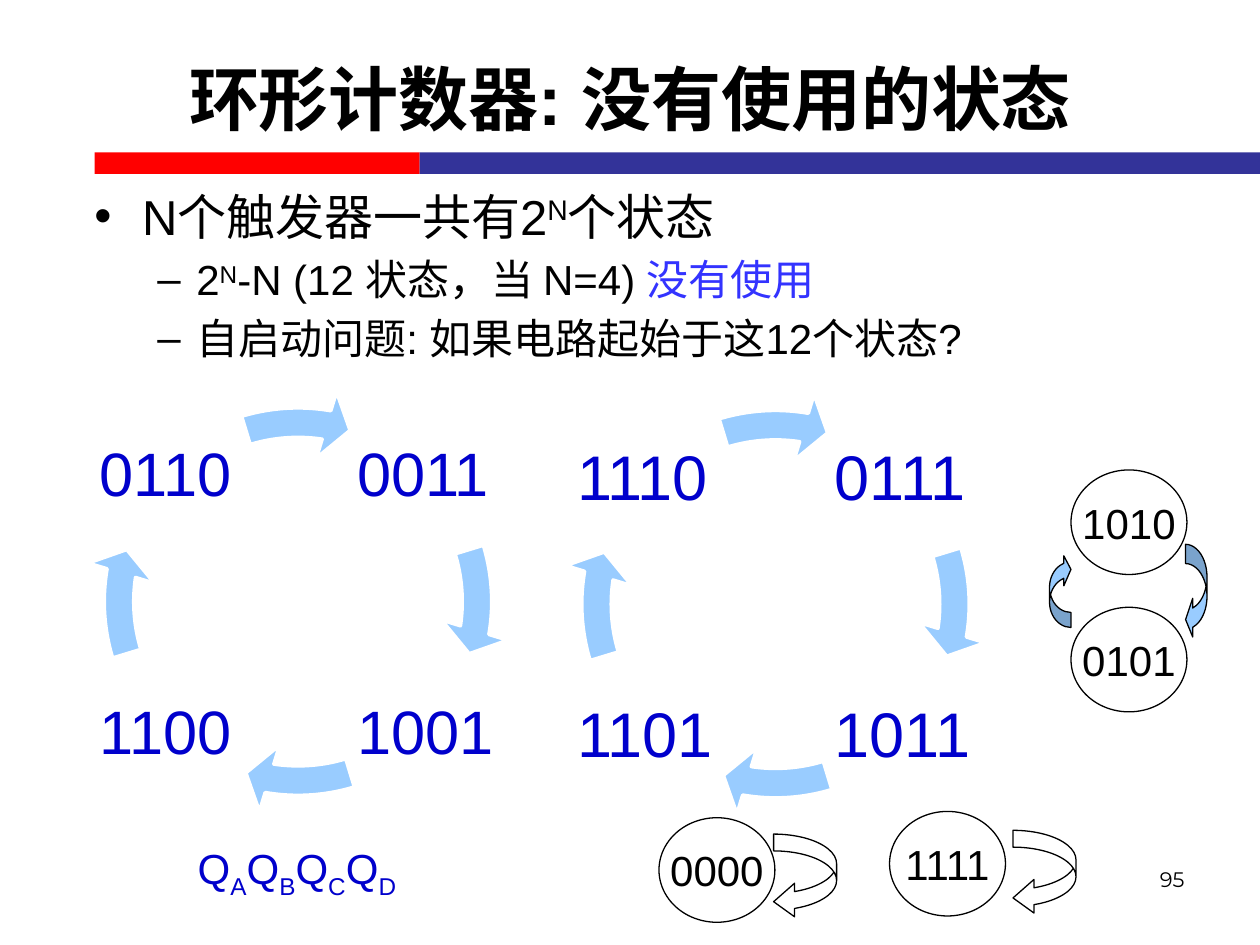
from lxml import etree
from pptx import Presentation
from pptx.dml.color import RGBColor
from pptx.enum.shapes import MSO_SHAPE as Shape
from pptx.enum.text import MSO_ANCHOR as Anchor, PP_ALIGN as Align
from pptx.oxml.ns import qn
from pptx.util import Inches, Pt

BLACK, BLUE, SKY, WHITE = "000000", "0000CC", "99CCFF", "FFFFFF"
SUPER, SUB = 30, -25

TITLE = "环形计数器: 没有使用的状态"
# Each bullet: level, size, runs of (text, baseline shift, colour)
BULLETS = [
    (0, 28, [("N个触发器一共有2", 0, BLACK), ("N", SUPER, BLACK),
             ("个状态", 0, BLACK)]),
    (1, 24, [("2", 0, BLACK), ("N", SUPER, BLACK),
             ("-N (12 状态，当 N=4) ", 0, BLACK), ("没有使用", 0, "3333FF")]),
    (1, 24, [("自启动问题: 如果电路起始于这12个状态?", 0, BLACK)]),
]
LEVELS = [("•", 0.38, 0.38), ("–", 0.81, 0.31)]  # mark, indent, hanging

BARS = [(0.75, 2.58, "FF0000"), (3.33, 6.67, "333399")]
# Each ring: left, top, text size, states clockwise from upper right
RINGS = [
    (0.67, 3.08, 35, ["0011", "1001", "1100", "0110"]),
    (4.46, 3.10, 36, ["0111", "1011", "1101", "1110"]),
]
RING_SIZE, STATE_SIZE, STATE_STEP, STATE_INSET = 3.39, 1.2, 2.045, 0.07
CORNERS = [(1, 0), (1, 1), (0, 1), (0, 0)]
QUARTER, FULL_TURN = 54, 216  # angles in units of 100000/60000 degree

CIRCLES = [("1010", 8.5, 3.73), ("0101", 8.5, 4.82),
           ("0000", 5.23, 6.49), ("1111", 7.06, 6.44)]
LEFT, RIGHT = Shape.CURVED_LEFT_ARROW, Shape.CURVED_RIGHT_ARROW
LOOP = [0.267, 0.533, 0.333]
# Each curved arrow: kind, box, adjustments, fill, flipped
CURVED_ARROWS = [
    (LEFT, (9.41, 4.32, 0.17, 0.75), [0.9, 1.8, 0.333], SKY, False),
    (RIGHT, (8.33, 4.40, 0.17, 0.58), [0.7, 1.4, 0.333], SKY, True),
    (LEFT, (6.14, 6.62, 0.5, 0.67), LOOP, None, False),
    (LEFT, (8.04, 6.59, 0.5, 0.67), LOOP, None, False),
]


def add_runs(paragraph, runs, size, **font_format):
    for text, baseline, colour in runs:
        run = paragraph.add_run()
        run.text = text
        values = {"size": Pt(size), "name": "Arial", **font_format}
        for name, value in values.items():
            setattr(run.font, name, value)
        run.font.color.rgb = RGBColor.from_string(colour)
        if baseline:
            run.font._element.set("baseline", str(baseline * 1000))


def set_frame(shape, wrap=True, anchor=Anchor.MIDDLE, inset=None):
    frame = shape.text_frame
    frame.word_wrap = wrap
    frame.vertical_anchor = anchor
    if inset is not None:
        for side in ("left", "top", "right", "bottom"):
            setattr(frame, f"margin_{side}", Inches(inset))
    return frame


def add_text(slide, box, runs, size, align=Align.LEFT, font_format=None, **frame_format):
    shape = slide.shapes.add_textbox(*map(Inches, box))
    paragraph = set_frame(shape, **frame_format).paragraphs[0]
    paragraph.alignment = align
    add_runs(paragraph, runs, size, **(font_format or {}))


def add_shape(slide, kind, box, fill=None, line=None, width=0.75, adjustments=()):
    shape = slide.shapes.add_shape(kind, *map(Inches, box))
    shape.shadow.inherit = False
    for part, colour in ((shape.fill, fill), (shape.line.fill, line)):
        if colour:
            part.solid()
            part.fore_color.rgb = RGBColor.from_string(colour)
        else:
            part.background()
    if line:
        shape.line.width = Pt(width)
    for index, value in enumerate(adjustments):
        shape.adjustments[index] = value
    return shape


def add_bullets(slide):
    box = slide.shapes.add_textbox(*map(Inches, (0.65, 1.43, 9.25, 5.75)))
    frame = set_frame(box, anchor=Anchor.TOP)
    for index, (level, size, runs) in enumerate(BULLETS):
        paragraph = frame.add_paragraph() if index else frame.paragraphs[0]
        paragraph.level = level
        if index:
            paragraph.space_before = Pt(size * 0.2)
        mark, indent, hanging = LEVELS[level]
        properties = paragraph._p.get_or_add_pPr()
        properties.set("marL", str(Inches(indent)))
        properties.set("indent", str(-Inches(hanging)))
        etree.SubElement(properties, qn("a:buFont")).set("typeface", "Arial")
        etree.SubElement(properties, qn("a:buChar")).set("char", mark)
        add_runs(paragraph, runs, size)


def add_ring(slide, left, top, size, states):
    """Four states at the corners of a square, joined by clockwise arrows."""
    for index, (state, (column, row)) in enumerate(zip(states, CORNERS)):
        box = (left + STATE_INSET + column * STATE_STEP,
               top + STATE_INSET + row * STATE_STEP, STATE_SIZE, STATE_SIZE)
        add_text(slide, box, [(state, 0, BLUE)], size, inset=0.05)
        turn = index * QUARTER
        angles = [5.495 + turn, (205.852 + turn) % FULL_TURN]
        add_shape(slide, Shape.CIRCULAR_ARROW, (left, top, RING_SIZE, RING_SIZE),
                  SKY, WHITE, 2, [0.069, 4.653, *angles, 0.081])


def main():
    presentation = Presentation()
    presentation.slide_width, presentation.slide_height = Inches(10), Inches(7.5)
    slide = presentation.slides.add_slide(presentation.slide_layouts[6])

    for left, width, colour in BARS:
        add_shape(slide, Shape.RECTANGLE, (left, 1.21, width, 0.17), colour)
    add_text(slide, (0.5, 0.15, 9, 1.25), [(TITLE, 0, BLACK)], 40,
             Align.CENTER, {"bold": True})
    add_text(slide, (7.17, 6.83, 2.33, 0.52), [("95", 0, BLACK)], 12,
             Align.RIGHT, {"name": "Montserrat"}, anchor=Anchor.TOP)
    add_bullets(slide)

    for ring in RINGS:
        add_ring(slide, *ring)
    outputs = [run for letter in "ABCD"
               for run in (("Q", 0, BLUE), (letter, SUB, BLUE))]
    add_text(slide, (1.47, 6.5, 1.92, 0.83), outputs, 24, wrap=False)

    for state, left, top in CIRCLES:
        circle = add_shape(slide, Shape.OVAL, (left, top, 0.92, 0.83), line=BLACK)
        paragraph = set_frame(circle, wrap=False).paragraphs[0]
        paragraph.alignment = Align.CENTER
        add_runs(paragraph, [(state, 0, BLACK)], 24)
    for kind, box, adjustments, fill, flipped in CURVED_ARROWS:
        arrow = add_shape(slide, kind, box, fill, BLACK, adjustments=adjustments)
        if flipped:
            arrow._element.spPr.find(qn("a:xfrm")).set("flipV", "1")

    presentation.save("out.pptx")


if __name__ == "__main__":
    main()
